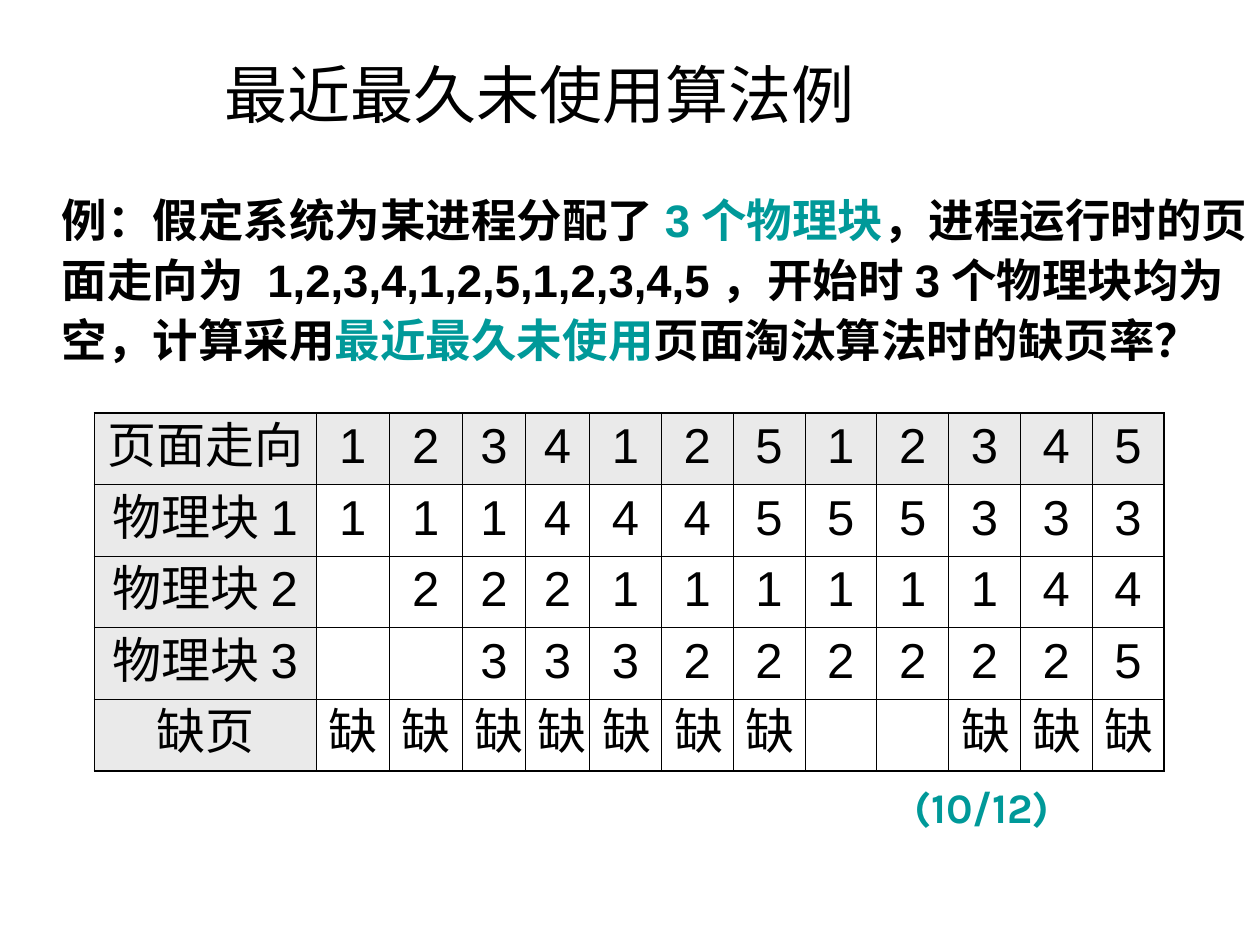
from pptx import Presentation
from pptx.dml.color import RGBColor
from pptx.enum.text import MSO_ANCHOR as Anchor, PP_ALIGN as Align
from pptx.oxml import parse_xml
from pptx.oxml.ns import nsdecls
from pptx.util import Inches, Pt

BLACK, TEAL, GREY, WHITE = "000000", "009999", "EAEAEA", "FFFFFF"
THIN, THICK = 0.45, 1.08

TITLE = "最近最久未使用算法例"
QUESTION = [
    ("例：假定系统为某进程分配了", BLACK),
    ("3个物理块", TEAL),
    ("，进程运行时的页面走向为 1,2,3,4,1,2,5,1,2,3,4,5，开始时3个物理块均为空，计算采用", BLACK),
    ("最近最久未使用", TEAL),
    ("页面淘汰算法时的缺页率？", BLACK),
]
ANSWER = "(10/12)"
ROWS = [
    ("页面走向", "123412512345"),
    ("物理块1", "111444555333"),
    ("物理块2", " 22211111144"),
    ("物理块3", "  3332222225"),
    ("缺页", "缺缺缺缺缺缺缺  缺缺缺"),
]
COLUMN_WIDTHS = [1.76, 0.58, 0.58, 0.5, 0.51] + [0.57] * 8
TABLE_LEFT, TABLE_TOP, TABLE_HEIGHT = 0.75, 3.28, 2.83


def color(code):
    """Turn a hex string into a colour."""
    return RGBColor.from_string(code)


def add_run(para, text, size, code=BLACK, font="Arial", bold=False):
    """Append one formatted run, with the same face for Chinese text."""
    span = para.add_run()
    span.text = text
    span.font.size = Pt(size)
    span.font.name = font
    span.font.bold = bold
    span.font.color.rgb = color(code)
    span.font._element.append(parse_xml(f'<a:ea {nsdecls("a")} typeface="{font}"/>'))


def add_box(page, left, top, width, height, wrap=True):
    """Add a text box and return its frame."""
    frame = page.shapes.add_textbox(*map(Inches, (left, top, width, height))).text_frame
    frame.word_wrap = wrap
    return frame


def set_borders(cell, widths):
    """Draw the left, right, top and bottom borders of a cell."""
    properties = cell._tc.get_or_add_tcPr()
    for index, (side, width) in enumerate(zip("LRTB", widths)):
        properties.insert(index, parse_xml(
            f'<a:ln{side} {nsdecls("a")} w="{Pt(width)}"><a:solidFill>'
            f'<a:srgbClr val="{BLACK}"/></a:solidFill></a:ln{side}>'))


def add_page_table(page):
    """Add the table of page references and frame contents."""
    last_row, last_column = len(ROWS) - 1, len(COLUMN_WIDTHS) - 1
    frame = page.shapes.add_table(
        len(ROWS), len(COLUMN_WIDTHS), Inches(TABLE_LEFT), Inches(TABLE_TOP),
        Inches(sum(COLUMN_WIDTHS)), Inches(TABLE_HEIGHT))
    table = frame.table
    for column, width in zip(table.columns, COLUMN_WIDTHS):
        column.width = Inches(width)
    for r, (label, marks) in enumerate(ROWS):
        table.rows[r].height = Inches(TABLE_HEIGHT / len(ROWS))
        for c, text in enumerate([label, *marks]):
            cell = table.cell(r, c)
            cell.fill.solid()
            cell.fill.fore_color.rgb = color(GREY if r == 0 or c == 0 else WHITE)
            outer = (c == 0, c == last_column, r == 0, r == last_row)
            set_borders(cell, [THICK if edge else THIN for edge in outer])
            para = cell.text_frame.paragraphs[0]
            para.alignment = Align.CENTER
            if text.strip():
                add_run(para, text, 28)


def main():
    """Build and save the slide."""
    deck = Presentation()
    deck.slide_width, deck.slide_height = Inches(10), Inches(7.5)
    page = deck.slides.add_slide(deck.slide_layouts[6])

    heading = add_box(page, 1.22, 0.41, 6.13, 0.66)
    heading.vertical_anchor = Anchor.MIDDLE
    heading.paragraphs[0].alignment = Align.CENTER
    add_run(heading.paragraphs[0], TITLE, 36)

    question = add_box(page, 0.39, 1.43, 9.73, 1.53).paragraphs[0]
    question.line_spacing = 1.1
    for text, code in QUESTION:
        add_run(question, text, 26, code, bold=True)

    add_page_table(page)

    answer = add_box(page, 7.16, 6.11, 1.32, 0.54, wrap=False).paragraphs[0]
    answer.line_spacing = 1.1
    add_run(answer, ANSWER, 24, TEAL, "Karla", True)

    deck.save("out.pptx")


if __name__ == "__main__":
    main()
